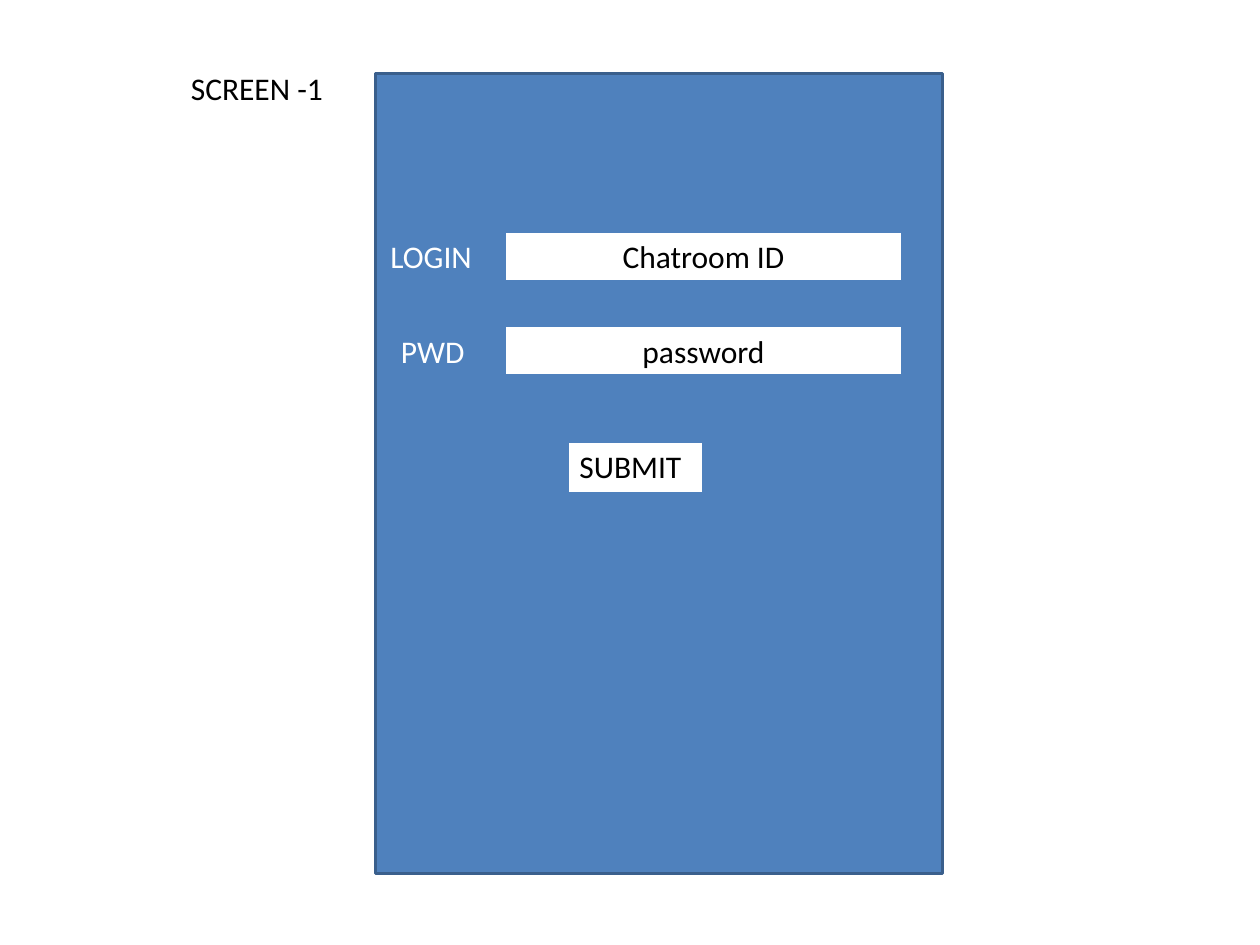
import dataclasses
import typing

import pptx
import pptx.dml.color
import pptx.enum.shapes
import pptx.enum.text
import pptx.slide
import pptx.util

ALIGN = pptx.enum.text.PP_ALIGN
ANCHOR = pptx.enum.text.MSO_ANCHOR
FIT = pptx.enum.text.MSO_AUTO_SIZE


@dataclasses.dataclass(frozen=True)
class Theme:
    font: str = "Calibri"
    text_size: float = 18
    line_width: float = 2
    ink: str = "000000"
    paper: str = "FFFFFF"
    panel: str = "4F81BD"
    panel_edge: str = "3A5F8C"


@dataclasses.dataclass(frozen=True)
class Box:
    column: float
    row: float
    columns: float
    rows: float
    text: str = ""
    ink: str = "000000"
    fill: typing.Optional[str] = None
    edge: typing.Optional[str] = None
    centered: bool = False
    wrap: bool = True


@dataclasses.dataclass(frozen=True)
class Field:
    row: float
    label: str
    label_column: float
    prompt: str


THEME = Theme()
CELL = pptx.util.Inches(1) / 12
FIELD_COLUMN = 48
FIELD_COLUMNS = 38
FIELD_ROWS = 4.8


def rgb(value: str) -> pptx.dml.color.RGBColor:
    return pptx.dml.color.RGBColor.from_string(value)


def apply_format(target: typing.Any, values: dict[str, typing.Any]) -> None:
    for name, value in values.items():
        setattr(target, name, value)


def draw_box(slide: pptx.slide.Slide, box: Box) -> None:
    bounds = [round(n * CELL) for n in (box.column, box.row, box.columns, box.rows)]
    if box.fill:
        part = slide.shapes.add_shape(pptx.enum.shapes.MSO_SHAPE.RECTANGLE, *bounds)
        part.shadow.inherit = False
        part.fill.solid()
        part.fill.fore_color.rgb = rgb(box.fill)
        part.line.color.rgb = rgb(box.edge)
        part.line.width = pptx.util.Pt(THEME.line_width)
    else:
        part = slide.shapes.add_textbox(*bounds)
    if not box.text:
        return
    apply_format(part.text_frame, {
        "text": box.text,
        "word_wrap": box.wrap,
        "auto_size": FIT.NONE if box.centered else FIT.SHAPE_TO_FIT_TEXT,
        "vertical_anchor": ANCHOR.MIDDLE if box.centered else ANCHOR.TOP,
    })
    paragraph = part.text_frame.paragraphs[0]
    paragraph.alignment = ALIGN.CENTER if box.centered else ALIGN.LEFT
    font = paragraph.runs[0].font
    apply_format(font, {"name": THEME.font, "size": pptx.util.Pt(THEME.text_size)})
    font.color.rgb = rgb(box.ink)


def draw_field(slide: pptx.slide.Slide, field: Field) -> None:
    draw_box(slide, Box(field.label_column, field.row, FIELD_COLUMN - field.label_column,
                        FIELD_ROWS, field.label, THEME.paper))
    draw_box(slide, Box(FIELD_COLUMN, field.row, FIELD_COLUMNS, FIELD_ROWS, field.prompt,
                        THEME.ink, THEME.paper, THEME.panel, centered=True))


deck = pptx.Presentation()
apply_format(deck, {"slide_width": pptx.util.Inches(10), "slide_height": pptx.util.Inches(7.5)})
login_screen = deck.slides.add_slide(deck.slide_layouts[6])

draw_box(login_screen, Box(17, 6, 15.1, 4.8, "SCREEN -1", THEME.ink, wrap=False))
draw_box(login_screen, Box(35.75, 7, 54, 76.2, fill=THEME.panel, edge=THEME.panel_edge))
for login_field in (Field(22, "LOGIN", 36, "Chatroom ID"), Field(31, "PWD", 37, "password")):
    draw_field(login_screen, login_field)
draw_box(login_screen, Box(54, 42, 13, 5, "SUBMIT", THEME.ink, THEME.paper, THEME.panel))

deck.save("out.pptx")
